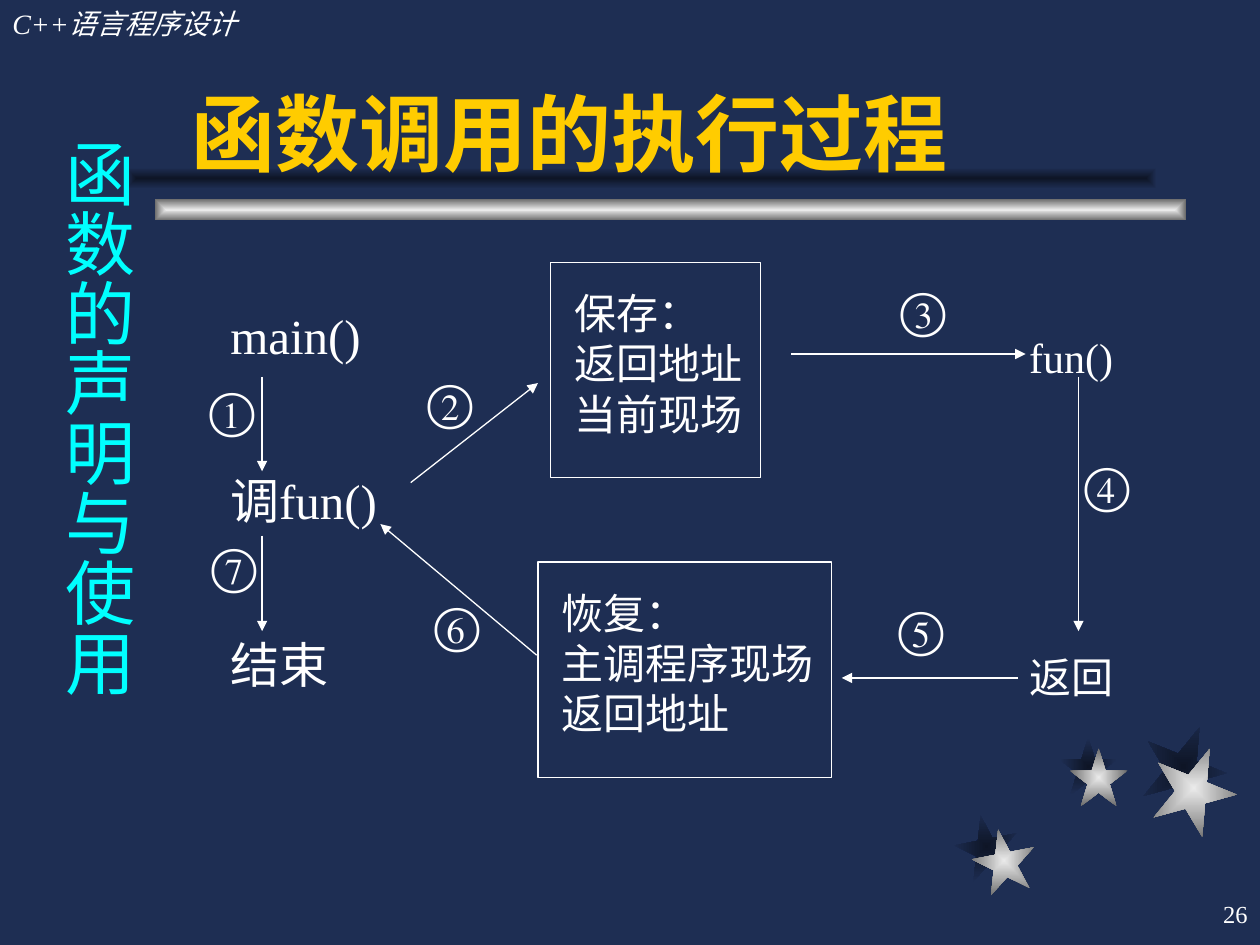
from dataclasses import dataclass

from lxml import etree
from pptx import Presentation
from pptx.dml.color import RGBColor
from pptx.enum.shapes import MSO_CONNECTOR, MSO_SHAPE
from pptx.enum.text import MSO_ANCHOR, MSO_AUTO_SIZE, PP_ALIGN
from pptx.oxml.ns import qn
from pptx.util import Pt

RECTANGLE, STAR = MSO_SHAPE.RECTANGLE, MSO_SHAPE.STAR_5_POINT
STRAIGHT = MSO_CONNECTOR.STRAIGHT
TOP, MIDDLE, BOTTOM = MSO_ANCHOR.TOP, MSO_ANCHOR.MIDDLE, MSO_ANCHOR.BOTTOM
LEFT, RIGHT = PP_ALIGN.LEFT, PP_ALIGN.RIGHT

NAVY, WHITE, GOLD, CYAN = "1E2E53", "FFFFFF", "FFCC00", "00FFFF"
SILVER = ("EAEAEA", "6C6C6C")
SHADE = ("0E1526", NAVY)
SERIF, SANS = "Times New Roman", "Arial"
NUMBER_SIZE = (28.8, 36.7)
STEP_HEIGHT = 123.1


@dataclass
class Star:
    left: float
    top: float
    size: float
    turn: float
    shade_shift: tuple[float, float]


@dataclass
class Label:
    text: str
    left: float
    top: float
    width: float
    height: float
    size: float
    color: str = WHITE
    font: str = SERIF
    bold: bool = False
    italic: bool = False
    align: PP_ALIGN = LEFT
    anchor: MSO_ANCHOR = TOP
    inset: tuple[float, float] = (7.2, 3.6)
    indent: float = 0
    line_spacing: float = 1
    gap: float = 0
    wrap: bool = True


@dataclass
class Arrow:
    start: tuple[float, float]
    end: tuple[float, float]


STARS = [
    Star(555.8, 473.8, 36, -11, (-10, -8)),
    Star(611.3, 427.7, 33.1, 0, (-6, -6.4)),
    Star(658.1, 426.2, 48.2, 22, (-5.8, -12.2)),
]
TITLE = Label("函数调用的执行过程", 102.2, 18, 563.8, 90, 48, GOLD, SANS,
              bold=True, anchor=BOTTOM)
HEADER = Label("C++语言程序设计", 0, 0, 221.8, 26.6, 16, italic=True)
PAGE_NUMBER = Label("26", 570.2, 504, 149.8, 36, 14, align=RIGHT,
                    anchor=MIDDLE, wrap=False)
CHAPTER = Label("函数的声明与使用", 21.6, 72, 61.9, 390.2, 40, CYAN, inset=(3.6, 7.2))
CALLER = Label("main()\n调fun()\n结束", 102.2, 157.7, 133.2, 257.8, 28,
               indent=22.3, line_spacing=1.4, gap=47)
CALLEE = Label("fun()\n返回", 581, 168.5, 86.4, 257.8, 24,
               line_spacing=1.6, gap=137)
STEPS = [
    Label(text, left, top, width, STEP_HEIGHT, 24, inset=(0, 14.4), indent=13.7)
    for text, left, top, width in [
        ("保存：\n返回地址\n当前现场", 314.6, 149.8, 120.2),
        ("恢复：\n主调程序现场\n返回地址", 307.4, 321.1, 167.8),
    ]
]
NUMBERS = [
    Label(text, left, top, *NUMBER_SIZE, 28, inset=(0, 0))
    for text, left, top in [
        ("①", 119.5, 216.7), ("②", 244.1, 212.4), ("③", 514.8, 159.8),
        ("④", 619.9, 259.9), ("⑤", 513.4, 342), ("⑥", 248.4, 339.8),
        ("⑦", 121, 306),
    ]
]
ARROWS = [
    Arrow((149.8, 215.3), (149.8, 269.3)),
    Arrow((234.7, 275.8), (307.4, 218.9)),
    Arrow((452.2, 202.3), (586.1, 202.3)),
    Arrow((616.3, 215.3), (616.3, 360.7)),
    Arrow((581.8, 387.4), (481, 387.4)),
    Arrow((306.7, 374.4), (217.4, 299.5)),
    Arrow((149.8, 306), (149.8, 360.7)),
]


def rgb(color: str) -> RGBColor:
    return RGBColor.from_string(color)


def add_glow(page, kind, left, top, width, height, colors, turn=0.0) -> None:
    """Draw a borderless shape with a gradient from its centre outwards."""
    shape = page.shapes.add_shape(kind, Pt(left), Pt(top), Pt(width), Pt(height))
    shape.shadow.inherit = False
    shape.rotation = turn
    shape.line.fill.background()
    shape.fill.gradient()
    for stop, position, color in zip(shape.fill.gradient_stops, (0, 1), colors):
        stop.position = position
        stop.color.rgb = rgb(color)
    gradient = shape._element.spPr.find(qn("a:gradFill"))
    gradient.remove(gradient.find(qn("a:lin")))
    focus = etree.SubElement(gradient, qn("a:path"), {"path": "rect"})
    etree.SubElement(focus, qn("a:fillToRect"), dict.fromkeys("ltrb", "50000"))


def write(shape, label: Label) -> None:
    frame = shape.text_frame
    frame.text = label.text
    frame.word_wrap = label.wrap
    frame.auto_size = MSO_AUTO_SIZE.NONE
    frame.vertical_anchor = label.anchor
    frame.margin_left = frame.margin_right = Pt(label.inset[0])
    frame.margin_top = frame.margin_bottom = Pt(label.inset[1])
    for index, para in enumerate(frame.paragraphs):
        para.alignment = label.align
        para.line_spacing = label.line_spacing
        para.space_before = Pt(label.gap if index else 0)
        para._p.get_or_add_pPr().set("marL", str(Pt(label.indent)))
        for span in para.runs:
            span.font.name = label.font
            span.font.size = Pt(label.size)
            span.font.bold = label.bold
            span.font.italic = label.italic
            span.font.color.rgb = rgb(label.color)


def bounds(label: Label) -> list[Pt]:
    return [Pt(value) for value in (label.left, label.top, label.width, label.height)]


def add_label(page, label: Label):
    box = page.shapes.add_textbox(*bounds(label))
    write(box, label)
    return box


def add_step(page, label: Label) -> None:
    box = page.shapes.add_shape(RECTANGLE, *bounds(label))
    box.shadow.inherit = False
    box.fill.background()
    box.line.color.rgb = rgb(WHITE)
    box.line.width = Pt(0.75)
    write(box, label)


def add_arrow(page, arrow: Arrow) -> None:
    ends = [Pt(value) for value in (*arrow.start, *arrow.end)]
    connector = page.shapes.add_connector(STRAIGHT, *ends)
    connector.line.color.rgb = rgb(WHITE)
    connector.line.width = Pt(0.75)
    etree.SubElement(connector.line._get_or_add_ln(), qn("a:tailEnd"), {"type": "triangle"})
    etree.SubElement(connector._element.spPr, qn("a:effectLst"))


def add_title(page) -> None:
    """Place the title above the shapes drawn so far."""
    title = page.shapes.title
    title.left, title.top, title.width, title.height = bounds(TITLE)
    write(title, TITLE)
    page.shapes._spTree.append(title._element)


def main() -> None:
    deck = Presentation()
    deck.slide_width, deck.slide_height = Pt(720), Pt(540)
    page = deck.slides.add_slide(deck.slide_layouts[5])
    page.background.fill.solid()
    page.background.fill.fore_color.rgb = rgb(NAVY)

    for colors, shift in ((SHADE, 1), (SILVER, 0)):
        for star in STARS:
            across, down = star.shade_shift
            add_glow(page, STAR, star.left + across * shift, star.top + down * shift,
                     star.size, star.size, colors, star.turn)
    for left, top, colors in ((88.6, 113.8, SILVER), (72, 95.8, SHADE)):
        add_glow(page, RECTANGLE, left, top, 589, 12.2, colors)

    add_title(page)
    for label in (HEADER, PAGE_NUMBER, CALLER, CALLEE, *NUMBERS):
        add_label(page, label)
    chapter = add_label(page, CHAPTER)
    chapter.text_frame._txBody.bodyPr.set("vert", "eaVert")
    for step in STEPS:
        add_step(page, step)
    for arrow in ARROWS:
        add_arrow(page, arrow)
    deck.save("out.pptx")


if __name__ == "__main__":
    main()
